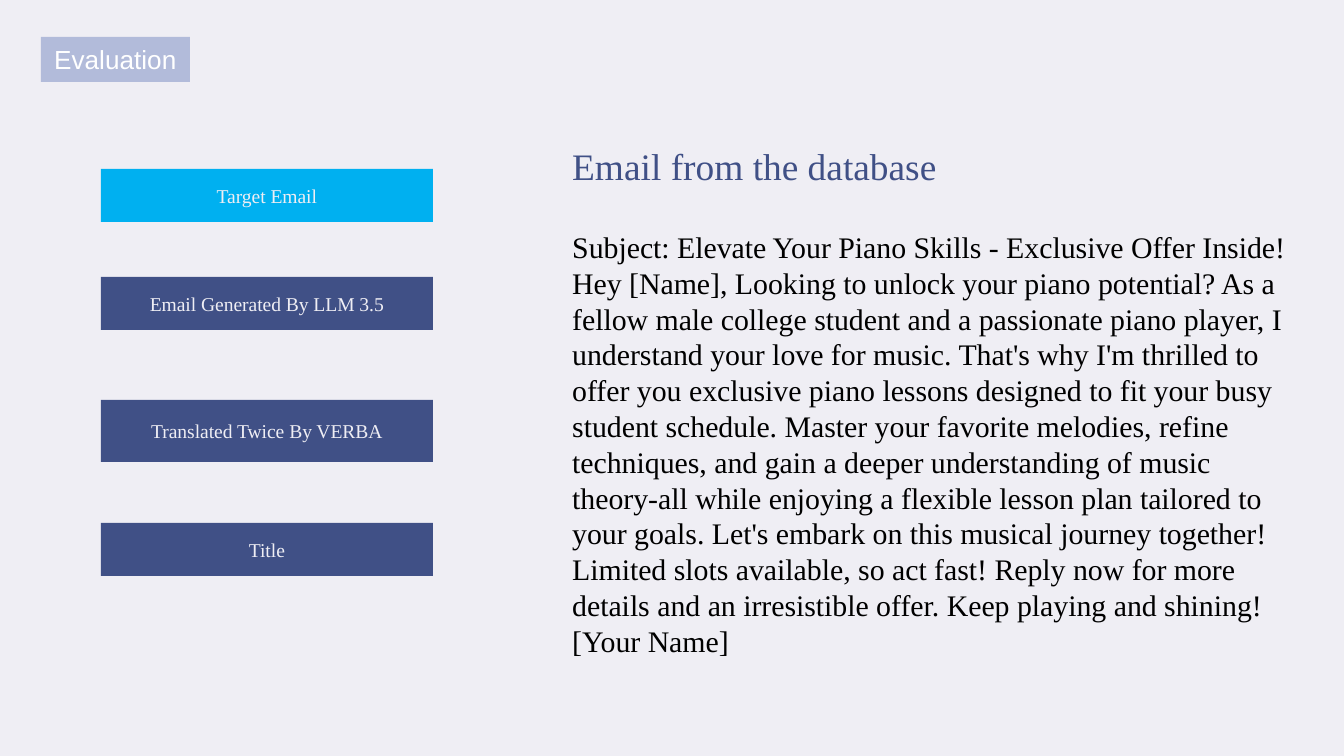
import pptx
import pptx.util
import pptx.dml.color
import pptx.enum.shapes
import pptx.enum.text

SCALE = 914400 / 134.4
THEME = {
    "back": "EFEEF4", "navy": "405086", "cyan": "00B0F0",
    "tag": "B2BBDA", "white": "FFFFFF", "black": "000000",
    "serif": "Times New Roman", "sans": "Arial",
    "label": 10.5, "small": 14, "body": 16, "head": 20,
}
ALIGN = pptx.enum.text.PP_ALIGN
ANCHOR = pptx.enum.text.MSO_ANCHOR


def color(name):
    return pptx.dml.color.RGBColor.from_string(THEME[name])


def block(left, top, width, height, text, size, ink, fill=None,
          face="serif", align=ALIGN.LEFT, anchor=ANCHOR.TOP):
    place = [round(n * SCALE) for n in (left, top, width, height)]
    if fill:
        shape = slide.shapes.add_shape(
            pptx.enum.shapes.MSO_SHAPE.RECTANGLE, *place)
        shape.shadow.inherit = False
        shape.fill.solid()
        shape.fill.fore_color.rgb = color(fill)
        shape.line.fill.background()
    else:
        shape = slide.shapes.add_textbox(*place)
    frame = shape.text_frame
    frame.word_wrap = True
    frame.vertical_anchor = anchor
    line = frame.paragraphs[0]
    line.text = text
    line.alignment = align
    line.font.name = THEME[face]
    line.font.size = pptx.util.Pt(THEME[size])
    line.font.color.rgb = color(ink)


deck = pptx.Presentation()
deck.slide_width = round(1344 * SCALE)
deck.slide_height = round(756 * SCALE)
slide = deck.slides.add_slide(deck.slide_layouts[6])
slide.background.fill.solid()
slide.background.fill.fore_color.rgb = color("back")

block(41, 37, 149, 45, "Evaluation", "small", "white", "tag", "sans")

steps = [
    (169, 53, "cyan", "Target Email"),
    (277, 53, "navy", "Email Generated By LLM 3.5"),
    (400, 62, "navy", "Translated Twice By VERBA"),
    (523, 53, "navy", "Title"),
]
for top, height, fill, text in steps:
    block(101, top, 332, height, text, "label", "back", fill,
          align=ALIGN.CENTER, anchor=ANCHOR.MIDDLE)

block(559, 137, 535, 59, "Email from the database", "head", "navy")

mail = (
    "Subject: Elevate Your Piano Skills - Exclusive Offer Inside! "
    "Hey [Name], Looking to unlock your piano potential? As a fellow male "
    "college student and a passionate piano player, I understand your love "
    "for music. That's why I'm thrilled to offer you exclusive piano lessons "
    "designed to fit your busy student schedule. Master your favorite "
    "melodies, refine techniques, and gain a deeper understanding of music "
    "theory-all while enjoying a flexible lesson plan tailored to your goals. "
    "Let's embark on this musical journey together! Limited slots available, "
    "so act fast! Reply now for more details and an irresistible offer. "
    "Keep playing and shining! [Your Name]"
)
block(559, 222, 751, 421, mail, "body", "black")

deck.save("out.pptx")
